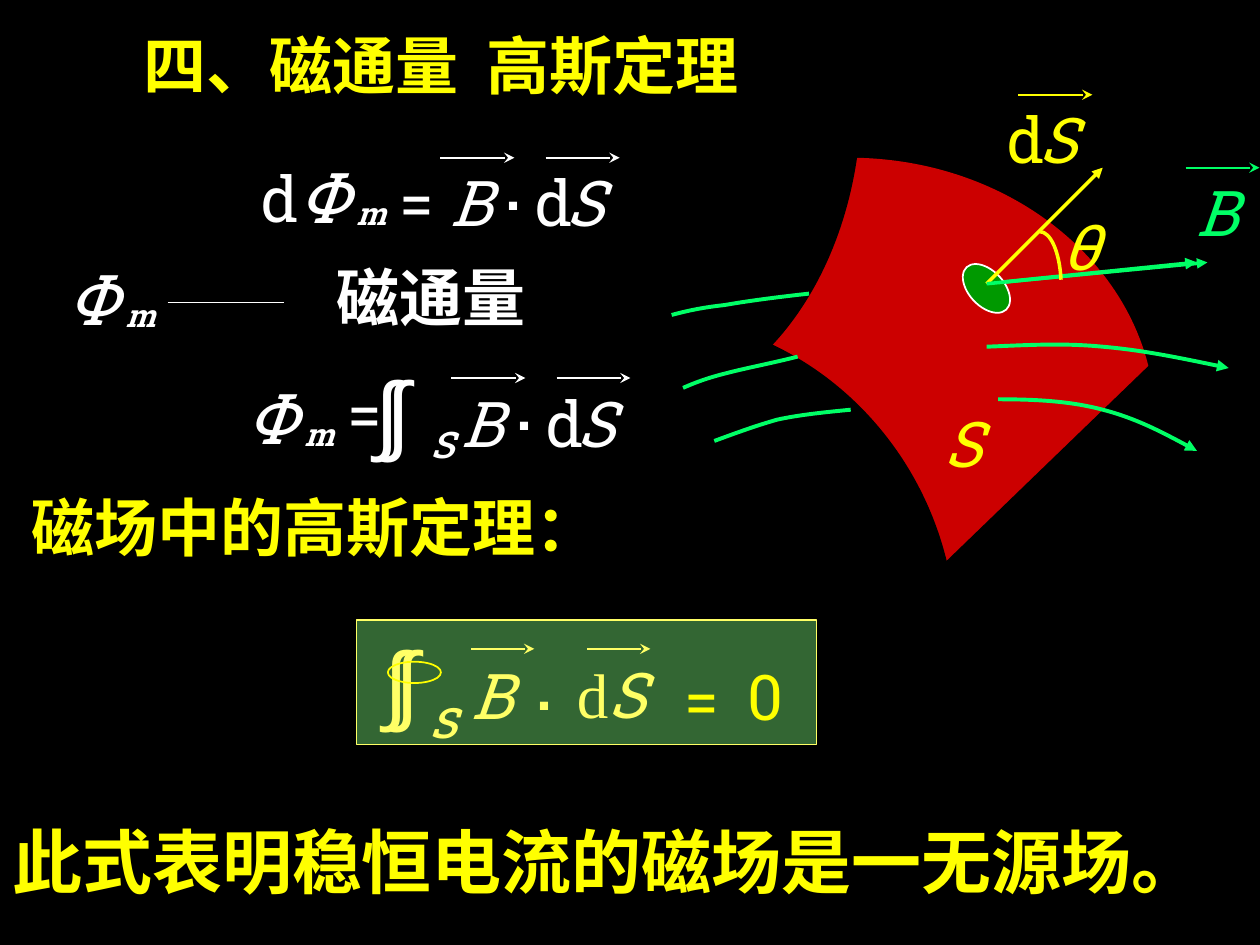
import lxml.etree
import pptx
import pptx.dml.color
import pptx.enum.shapes
import pptx.enum.text
import pptx.oxml.ns
import pptx.util

Cm = pptx.util.Cm
Pt = pptx.util.Pt
qn = pptx.oxml.ns.qn

WHITE, YELLOW, PALE, GREEN = "FFFFFF", "FFFF00", "FFFF66", "00FF66"
RED, BLACK = "CC0000", "000000"
SLAB, CJK = "Roboto Slab", "Noto Sans CJK SC"
PLAIN = {"size": 36}
ITALIC = {"size": 36, "italic": True}
BOLD = {"size": 36, "bold": True}

# Symbol: box width in cm, font values
SYMBOLS = {
    "=": (1.27, PLAIN), "d": (1.3, PLAIN), "0": (1.3, PLAIN),
    "B": (1.42, ITALIC), "S": (1.32, ITALIC), "θ": (1.27, ITALIC),
    "Φ": (1.7, {"size": 40, "italic": True}),
    "m": (1.12, {"size": 18, "bold": True, "italic": True}),
    ".": (1.07, {"size": 48}),
    "s": (1.04, {"size": 28, "italic": True}),
    "∫": (1.02, {"size": 50, "name": "Arial"}),
}
BOX_HEIGHTS = {18: 1.02, 28: 1.45, 32: 1.6, 36: 1.78, 40: 1.96, 48: 2.29, 50: 2.11}

# Start point, then control, control and end point of each cubic section
RED_TOP = [(13.03, 4.52), (14.15, 3.66), (15.6, 3.18), (17.12, 3.18),
           (20.52, 3.18), (23.29, 5.56), (23.29, 8.51),
           (23.29, 9.93), (22.63, 11.28), (21.46, 12.27)]
RED_BOTTOM = [(23.06, 7.49), (22.2, 10.01), (20.17, 11.63), (17.93, 11.63),
              (17.45, 11.63), (16.97, 11.56), (16.51, 11.4)]
LOWER_EDGE = [(12.93, 6.35), (16.43, 6.35), (19.28, 9.3), (19.28, 12.93)]
LEFT_EDGE = [(17.37, 1.91), (17.37, 5.16), (15.6, 7.87), (13.26, 8.26)]
ANGLE = [(20.96, 4.67), (21.18, 4.67), (21.36, 5.08), (21.39, 5.64)]
LINES_BEHIND = [
    [(16.31, 5.92), (15.67, 5.99), (15.06, 6.07), (14.61, 6.15),
     (14.15, 6.2), (13.84, 6.27), (13.54, 6.35)],
    [(16.08, 7.19), (15.57, 7.32), (15.04, 7.42), (14.66, 7.52),
     (14.25, 7.62), (14, 7.72), (13.77, 7.82)],
    [(17.15, 8.26), (16.64, 8.31), (16.13, 8.36), (15.67, 8.46),
     (15.21, 8.59), (14.81, 8.74), (14.4, 8.89)],
]
LINES_IN_FRONT = [
    [(19.89, 6.99), (20.65, 6.96), (21.41, 6.91), (22.23, 6.99),
     (23.04, 7.06), (23.9, 7.24), (24.77, 7.42)],
    [(20.12, 8.05), (20.83, 8.05), (21.56, 8.08), (22.23, 8.26),
     (22.89, 8.43), (23.52, 8.76), (24.13, 9.09)],
]


def rgb(value):
    return pptx.dml.color.RGBColor.from_string(value)


def paint(shape, fill=None, line=None, width=1, head=None):
    shape.shadow.inherit = False
    if fill:
        shape.fill.solid()
        shape.fill.fore_color.rgb = rgb(fill)
    else:
        shape.fill.background()
    if line:
        draw_line(shape, line, width, head)
    else:
        shape.line.fill.background()


def draw_line(shape, color, width, head):
    shape.line.color.rgb = rgb(color)
    shape.line.width = Pt(width)
    if head:
        ln = shape.line._get_or_add_ln()
        lxml.etree.SubElement(ln, qn("a:tailEnd"), type=head)


def add_line(s, start, end, color, width=1, head=None):
    ends = [Cm(v) for v in (*start, *end)]
    c = s.shapes.add_connector(pptx.enum.shapes.MSO_CONNECTOR.STRAIGHT, *ends)
    draw_line(c, color, width, head)
    lxml.etree.SubElement(c._element.spPr, qn("a:effectLst"))


def add_preset(s, kind, box, rotation=0, **style):
    shape = s.shapes.add_shape(kind, *[Cm(v) for v in box])
    shape.rotation = rotation
    paint(shape, **style)


def bend_sections(shape, count):
    """Turn each three of the first line segments into one cubic section."""
    segments = list(shape._element.iter(qn("a:lnTo")))[:count]
    for i in range(0, count, 3):
        first, *others = segments[i:i + 3]
        first.tag = qn("a:cubicBezTo")
        for segment in others:
            first.append(segment[0])
            segment.getparent().remove(segment)


def add_curve(s, knots, corner=None, **style):
    """Open curve, or a closed sector when a corner is given."""
    points = [(Cm(x), Cm(y)) for x, y in knots + ([corner] if corner else [])]
    builder = s.shapes.build_freeform(*points[0])
    builder.add_line_segments(points[1:], close=bool(corner))
    shape = builder.convert_to_shape()
    bend_sections(shape, len(knots) - 1)
    paint(shape, **style)


def add_text(s, text, x, y, width, color, font, **frame):
    box = s.shapes.add_textbox(Cm(x), Cm(y), Cm(width), Cm(BOX_HEIGHTS[font["size"]]))
    tf = box.text_frame
    frame = {"word_wrap": False,
             "auto_size": pptx.enum.text.MSO_AUTO_SIZE.SHAPE_TO_FIT_TEXT, **frame}
    for key, value in frame.items():
        setattr(tf, key, value)
    r = tf.paragraphs[0].add_run()
    r.text = text
    for key, value in {"name": SLAB, **font, "size": Pt(font["size"])}.items():
        setattr(r.font, key, value)
    r.font.color.rgb = rgb(color)
    if len(text) > 1:
        lxml.etree.SubElement(r._r.get_or_add_rPr(), qn("a:ea"), typeface=CJK)


def add_symbol(s, char, x, y, color, **changes):
    width, font = SYMBOLS[char]
    sides = ("left", "right", "top", "bottom") if char == "∫" else ()
    margins = {f"margin_{side}": Cm(0) for side in sides}
    add_text(s, char, x, y, width, color, {**font, **changes}, **margins)


def add_vector_mark(s, x, y, color, length=1.49):
    add_line(s, (x, y), (x + length, y), color, head="stealth")


def add_ds(s, x, y, color, length=1.49, **d_font):
    add_symbol(s, "d", x, y, color, **d_font)
    add_symbol(s, "S", x + 0.64, y, color)
    add_vector_mark(s, x + 0.46, y, color, length)


def add_b_dot_ds(s, x, y):
    add_symbol(s, ".", x + 1.06, y - 0.76, WHITE)
    add_symbol(s, "B", x, y, WHITE)
    add_vector_mark(s, x + 0.04, y, WHITE)
    add_ds(s, x + 1.7, y, WHITE)


def add_phi_m(s, x, y):
    add_symbol(s, "m", x + 1.17, y + 0.82, WHITE)
    add_symbol(s, "Φ", x, y, WHITE)


def add_double_integral(s, x, y, color):
    for offset in (0, 0.22):
        add_symbol(s, "∫", x + offset, y, color)


def add_surface(s):
    shapes = pptx.enum.shapes.MSO_SHAPE
    add_curve(s, RED_TOP, corner=(17.12, 8.51), fill=RED)
    add_curve(s, RED_BOTTOM, corner=(17.93, 4.88), fill=RED)
    add_curve(s, LOWER_EDGE, corner=(12.93, 12.93), fill=BLACK)
    add_curve(s, LEFT_EDGE, corner=(12.7, 1.91), fill=BLACK)
    add_preset(s, shapes.RECTANGLE, (20.5, 7.01, 2.72, 7.01), 46, fill=BLACK)
    add_symbol(s, "S", 18.8, 8.03, YELLOW)
    for knots in LINES_BEHIND:
        add_curve(s, knots, line=GREEN, width=2.25)
    for knots in LINES_IN_FRONT:
        add_curve(s, knots, line=GREEN, width=2.25, head="triangle")
    add_line(s, (19.89, 5.72), (24.13, 5.29), GREEN, 2.25, "triangle")


def add_flux_formulas(s):
    add_symbol(s, "=", 7.8, 3.2, WHITE)
    add_symbol(s, "d", 5.03, 3.1, WHITE)
    add_phi_m(s, 5.77, 2.97)
    add_b_dot_ds(s, 8.84, 3.18)

    add_line(s, (3.38, 6.1), (5.72, 6.1), WHITE)
    add_text(s, "磁通量", 6.53, 5.08, 4.32, WHITE, BOLD)
    add_phi_m(s, 1.12, 5.03)

    add_b_dot_ds(s, 9.06, 7.62)
    add_phi_m(s, 4.72, 7.42)
    add_symbol(s, "=", 6.76, 7.44, WHITE)
    add_symbol(s, "s", 8.43, 8.13, WHITE)
    add_double_integral(s, 7.57, 7.19, WHITE)


def add_gauss_law(s):
    shapes = pptx.enum.shapes.MSO_SHAPE
    add_preset(s, shapes.RECTANGLE, (7.19, 12.5, 9.27, 2.51), fill="336633", line=PALE)
    add_symbol(s, "=", 13.54, 13.23, YELLOW)
    add_symbol(s, "0", 14.81, 13.13, YELLOW)
    add_symbol(s, "B", 9.25, 13.11, PALE)
    add_symbol(s, ".", 10.52, 12.5, PALE)
    add_vector_mark(s, 9.5, 13.08, PALE, 1.27)
    add_ds(s, 11.38, 13.08, PALE, 1.27, name="Times New Roman")
    add_symbol(s, "s", 8.41, 13.64, PALE, size=32)
    add_double_integral(s, 7.75, 12.65, PALE)
    add_preset(s, shapes.OVAL, (7.82, 13.34, 1.07, 0.43), line=YELLOW)


def add_area_vectors(s):
    """Area element with its normal, the field and the angle between them."""
    center = (19.89, 5.72)
    oval = pptx.enum.shapes.MSO_SHAPE.OVAL
    add_preset(s, oval, (19.3, 5.46, 1.17, 0.71), 47, fill="009900", line=WHITE)
    add_ds(s, 20.07, 1.91, YELLOW)
    add_line(s, center, (22.23, 3.38), YELLOW, 2, "triangle")
    add_line(s, center, (24.34, 5.29), GREEN, 2, "triangle")
    add_symbol(s, "B", 23.88, 3.38, GREEN)
    add_vector_mark(s, 23.9, 3.38, GREEN)
    add_curve(s, ANGLE, line=YELLOW, width=2)
    add_symbol(s, "θ", 21.16, 4.06, YELLOW)


def main():
    prs = pptx.Presentation()
    prs.slide_width, prs.slide_height = Cm(25.4), Cm(19.05)
    s = prs.slides.add_slide(prs.slide_layouts[6])
    s.background.fill.solid()
    s.background.fill.fore_color.rgb = rgb(BLACK)
    add_surface(s)
    add_text(s, "四、磁通量  高斯定理", 2.64, 0.41, 12.52, YELLOW, BOLD)
    add_flux_formulas(s)
    add_text(s, "磁场中的高斯定理：", 0.38, 9.73, 11.94, YELLOW, BOLD)
    add_gauss_law(s)
    add_area_vectors(s)
    add_text(s, "此式表明稳恒电流的磁场是一无源场。", 0, 16.38, 24.49, YELLOW,
             {"size": 40, "bold": True, "name": CJK})
    prs.save("out.pptx")


if __name__ == "__main__":
    main()
